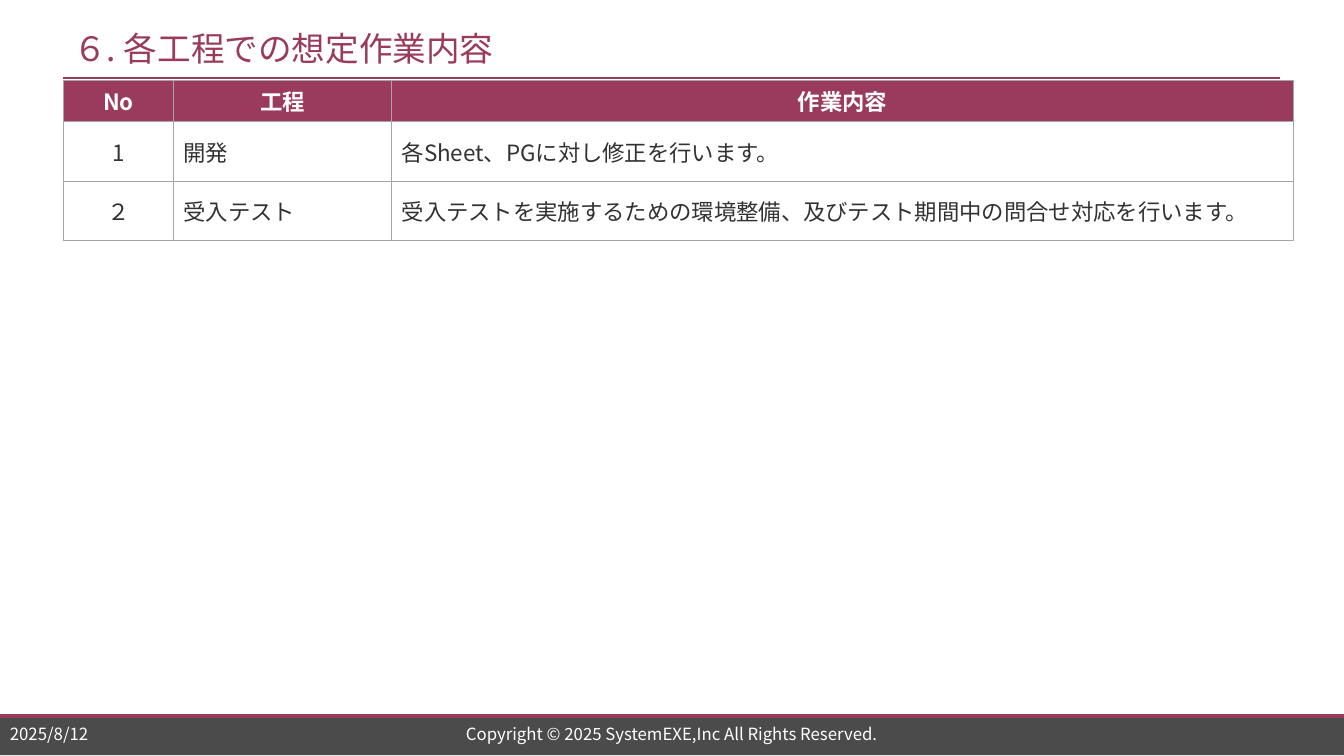
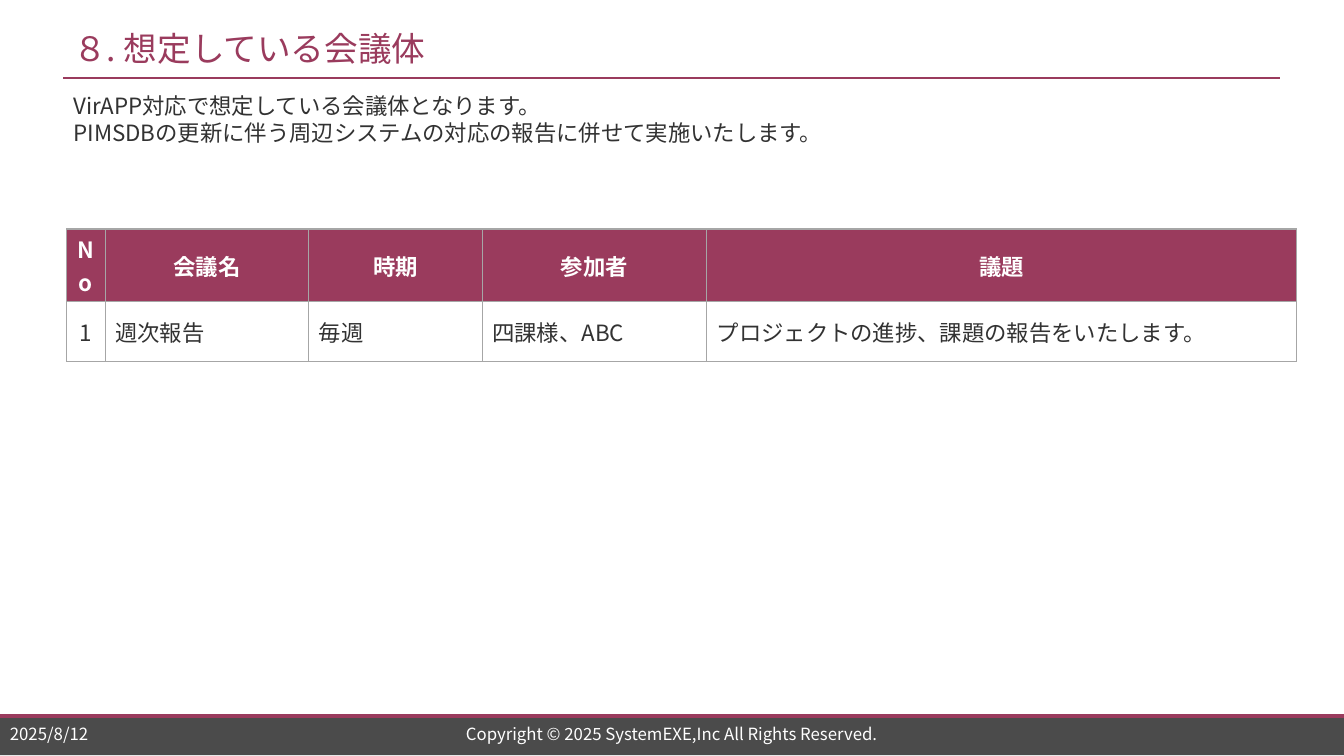
import dataclasses

import pptx
import pptx.dml.color
import pptx.enum.lang
import pptx.enum.shapes
import pptx.enum.text
import pptx.oxml.ns
import pptx.util
from lxml import etree

Cm = pptx.util.Cm
Pt = pptx.util.Pt
RGB = pptx.dml.color.RGBColor.from_string
Align = pptx.enum.text.PP_ALIGN
Anchor = pptx.enum.text.MSO_ANCHOR
qn = pptx.oxml.ns.qn


@dataclasses.dataclass(frozen=True)
class Theme:
    accent: str = "9A3B5D"
    band: str = "4B4B4B"
    border: str = "A6A6A6"
    ink: str = "323232"
    white: str = "FFFFFF"
    font: str = "Noto Sans CJK JP"
    alternate_font: str = "Calibri"
    title_size: int = 24
    body_size: int = 16
    footer_size: int = 12
    body_line: float = 19.2


SLIDE_WIDTH, SLIDE_HEIGHT = 33.87, 19.05
LEFT, CONTENT_WIDTH = 1.6, 30.66
TABLE_WIDTH = 31
ROW_HEIGHT = 1.5
DATE = "2025/8/12"
COPYRIGHT = "Copyright © 2025 SystemEXE,Inc All Rights Reserved."


class Deck:
    def __init__(self, theme):
        self.theme = theme
        self.presentation = pptx.Presentation()
        self.presentation.slide_width = Cm(SLIDE_WIDTH)
        self.presentation.slide_height = Cm(SLIDE_HEIGHT)
        self.slide = None

    def add_slide(self, title):
        """Start a slide with the shared title, rule and footer."""
        theme = self.theme
        self.slide = self.presentation.slides.add_slide(self.presentation.slide_layouts[6])
        self.band(18.03, 1)
        self.rule(0, SLIDE_WIDTH, 18.04, 2.75)
        self.rule(LEFT, CONTENT_WIDTH, 1.96, 1.5)
        self.text([title], (LEFT, 0.5, CONTENT_WIDTH, 1.4), theme.title_size,
                  theme.accent, anchor=Anchor.MIDDLE, wrap=False)
        for text, left, width, align in ((DATE, 0, 4, Align.LEFT),
                                         (COPYRIGHT, 8.43, 17, Align.CENTER)):
            self.text([text], (left, 18.18, width, 0.62), theme.footer_size,
                      theme.white, align, Anchor.MIDDLE)

    def band(self, top, height):
        shape = self.slide.shapes.add_shape(
            pptx.enum.shapes.MSO_SHAPE.RECTANGLE, 0, Cm(top), Cm(SLIDE_WIDTH), Cm(height))
        shape.shadow.inherit = False
        shape.fill.solid()
        shape.fill.fore_color.rgb = RGB(self.theme.band)
        shape.line.fill.background()

    def rule(self, left, width, top, weight):
        line = self.slide.shapes.add_connector(
            pptx.enum.shapes.MSO_CONNECTOR.STRAIGHT,
            Cm(left), Cm(top), Cm(left + width), Cm(top))
        line.line.color.rgb = RGB(self.theme.accent)
        line.line.width = Pt(weight)
        etree.SubElement(line._element.spPr, qn("a:effectLst"))

    def add_run(self, paragraph, text, size, color, bold=False, font=None):
        """Add a run with its Latin and East Asian fonts."""
        run = paragraph.add_run()
        run.text = text
        run.font.name = font or self.theme.font
        run.font.size = Pt(size)
        run.font.bold = bold
        run.font.color.rgb = RGB(color)
        run.font.language_id = pptx.enum.lang.MSO_LANGUAGE_ID.JAPANESE
        east_asian = etree.Element(qn("a:ea"), typeface=self.theme.font)
        run._r.rPr.find(qn("a:latin")).addnext(east_asian)

    def text(self, lines, box, size, color, align=Align.LEFT,
             anchor=Anchor.TOP, wrap=True, line_spacing=None):
        frame = self.slide.shapes.add_textbox(*map(Cm, box)).text_frame
        frame.word_wrap = wrap
        frame.vertical_anchor = anchor
        for index, line in enumerate(lines):
            paragraph = frame.add_paragraph() if index else frame.paragraphs[0]
            paragraph.alignment = align
            if line_spacing:
                paragraph.line_spacing = Pt(line_spacing)
            self.add_run(paragraph, line, size, color)

    def body(self, lines):
        self.text(lines, (LEFT, 2.2, 30.45, 1.63), self.theme.body_size,
                  self.theme.ink, line_spacing=self.theme.body_line)

    def table(self, left, top, widths, header_height, rows, fonts=None):
        """Draw a table; the last column takes the width that remains."""
        widths = [*widths, TABLE_WIDTH - sum(widths)]
        heights = [header_height] + [ROW_HEIGHT] * (len(rows) - 1)
        table = self.slide.shapes.add_table(
            len(rows), len(widths), Cm(left), Cm(top),
            Cm(TABLE_WIDTH), Cm(sum(heights))).table
        table.horz_banding = False
        for column, width in zip(table.columns, widths):
            column.width = Cm(width)
        for row, height in zip(table.rows, heights):
            row.height = Cm(height)
        for row_index, texts in enumerate(rows):
            for column_index, text in enumerate(texts):
                self.cell(table.cell(row_index, column_index), text,
                          header=row_index == 0,
                          centered=row_index == 0 or column_index == 0,
                          font=(fonts or {}).get((row_index, column_index)))

    def cell(self, cell, text, header, centered, font):
        theme = self.theme
        cell.vertical_anchor = Anchor.MIDDLE
        if centered:
            cell.margin_left = cell.margin_right = Cm(0.1)
            cell.margin_top = cell.margin_bottom = Cm(0.1)
        self.borders(cell)
        if header:
            cell.fill.solid()
            cell.fill.fore_color.rgb = RGB(theme.accent)
        else:
            cell.fill.background()
        paragraph = cell.text_frame.paragraphs[0]
        paragraph.alignment = Align.CENTER if centered else Align.LEFT
        self.add_run(paragraph, text, theme.body_size,
                     theme.white if header else theme.ink, header, font)

    def borders(self, cell):
        properties = cell._tc.get_or_add_tcPr()
        for side in ("lnL", "lnR", "lnT", "lnB"):
            line = etree.SubElement(properties, qn("a:" + side), w=str(Pt(1)))
            fill = etree.SubElement(line, qn("a:solidFill"))
            etree.SubElement(fill, qn("a:srgbClr"), val=self.theme.border)


def main():
    deck = Deck(Theme())

    deck.add_slide("６. 各工程での想定作業内容")
    deck.table(LEFT, 2.03, (2.77, 5.5), 1.04, (
        ("No", "工程", "作業内容"),
        ("1", "開発", "各Sheet、PGに対し修正を行います。"),
        ("２", "受入テスト",
         "受入テストを実施するための環境整備、及びテスト期間中の問合せ対応を行います。"),
    ), fonts={(2, 2): deck.theme.alternate_font})

    deck.add_slide("８. 想定している会議体")
    deck.table(1.68, 5.77, (0.97, 5.13, 4.37, 5.66), 1.83, (
        ("No", "会議名", "時期", "参加者", "議題"),
        ("1", "週次報告", "毎週", "四課様、ABC", "プロジェクトの進捗、課題の報告をいたします。"),
    ))
    deck.body(("VirAPP対応で想定している会議体となります。",
               "PIMSDBの更新に伴う周辺システムの対応の報告に併せて実施いたします。"))

    deck.presentation.save("out.pptx")


if __name__ == "__main__":
    main()
